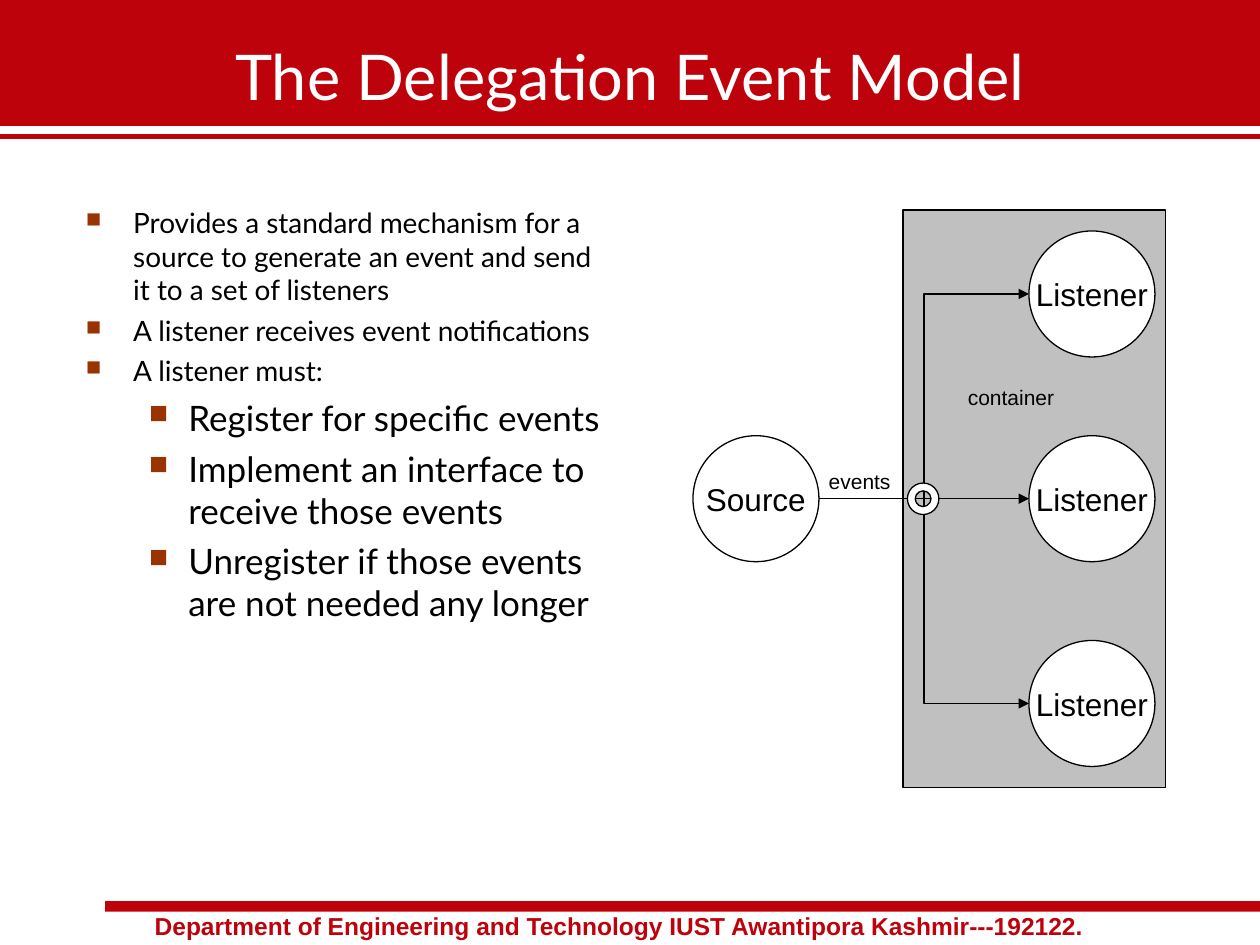
from dataclasses import dataclass

from lxml.etree import SubElement
from pptx import Presentation
from pptx.dml.color import RGBColor
from pptx.enum.shapes import MSO_CONNECTOR as Connector, MSO_SHAPE as Shape
from pptx.enum.text import MSO_ANCHOR as Anchor, MSO_AUTO_SIZE as AutoSize, PP_ALIGN as Align
from pptx.oxml.ns import qn
from pptx.util import Pt


@dataclass(frozen=True)
class Theme:
    red: RGBColor = RGBColor(0xBE, 0x02, 0x0B)
    black: RGBColor = RGBColor(0, 0, 0)
    white: RGBColor = RGBColor(255, 255, 255)
    gray: RGBColor = RGBColor(0xC0, 0xC0, 0xC0)
    bullet: str = "993300"
    heading: str = "Lato"
    label: str = "Arial"
    title_size: int = 36
    node_size: int = 18
    label_size: int = 12
    footer_size: int = 14
    body_sizes: tuple = (16, 20)


theme = Theme()


def add_block(kind, left, top, width, height, fill, outlined=True):
    block = page.shapes.add_shape(kind, Pt(left), Pt(top), Pt(width), Pt(height))
    block.shadow.inherit = False
    block.fill.solid()
    block.fill.fore_color.rgb = fill
    if outlined:
        block.line.color.rgb = theme.black
        block.line.width = Pt(0.75)
    else:
        block.line.fill.background()
    return block


def write(para, text, name, size, color, bold=False):
    span = para.add_run()
    span.text = text
    span.font.color.rgb = color
    for key, value in {"name": name, "size": Pt(size), "bold": bold}.items():
        setattr(span.font, key, value)


deck = Presentation()
deck.slide_width, deck.slide_height = Pt(720), Pt(540)
page = deck.slides.add_slide(deck.slide_layouts[5])

title = page.shapes.title
for key, value in {"left": 0, "top": 0, "width": 720, "height": 72}.items():
    setattr(title, key, Pt(value))
title.fill.solid()
title.fill.fore_color.rgb = theme.red
frame = title.text_frame
for key, value in {"vertical_anchor": Anchor.MIDDLE, "margin_top": Pt(18),
                   "margin_bottom": Pt(3.6), "auto_size": AutoSize.NONE}.items():
    setattr(frame, key, value)
frame.paragraphs[0].alignment = Align.CENTER
write(frame.paragraphs[0], "The Delegation Event Model", theme.heading, theme.title_size, theme.white)

add_block(Shape.RECTANGLE, 60, 515, 660, 6, theme.red, outlined=False)
add_block(Shape.RECTANGLE, 516, 120, 150, 330, theme.gray)

bullets = [
    (0, "Provides a standard mechanism for a source to generate an event and send it to a set of listeners"),
    (0, "A listener receives event notifications"),
    (0, "A listener must:"),
    (1, "Register for specific events"),
    (1, "Implement an interface to receive those events"),
    (1, "Unregister if those events are not needed any longer"),
]
indents = [(27, -27), (58.5, -22.5)]
body = page.shapes.add_textbox(Pt(42), Pt(114), Pt(315), Pt(324)).text_frame
body.word_wrap = True
for index, (level, text) in enumerate(bullets):
    para = body.add_paragraph() if index else body.paragraphs[0]
    para.level = level
    para.space_before = Pt((4, 5)[level] if index else 0)
    props = para._p.get_or_add_pPr()
    for key, value in zip(("marL", "indent"), indents[level]):
        props.set(key, str(Pt(value)))
    color = SubElement(props, qn("a:buClr"))
    SubElement(color, qn("a:srgbClr"), val=theme.bullet)
    SubElement(props, qn("a:buSzPct"), val="75000")
    SubElement(props, qn("a:buChar"), char="■")
    write(para, text, theme.heading, theme.body_sizes[level], theme.black)

diameter = 72
source_left, listener_left, middle = 396, 588, 285
listener_rows = [middle + step * 117 for step in (-1, 0, 1)]
nodes = [("Source", source_left, middle)]
nodes += [("Listener", listener_left, row) for row in listener_rows]
for text, left, row in nodes:
    frame = add_block(Shape.OVAL, left, row - diameter / 2, diameter, diameter, theme.white).text_frame
    frame.word_wrap = False
    frame.vertical_anchor = Anchor.MIDDLE
    frame.paragraphs[0].alignment = Align.CENTER
    write(frame.paragraphs[0], text, theme.label, theme.node_size, theme.black)

source_right = source_left + diameter
links = [(Connector.STRAIGHT if row == middle else Connector.ELBOW,
          source_right, middle, listener_left, row, theme.black, 0.75, True)
         for row in listener_rows]
links.append((Connector.STRAIGHT, 0, 78, 720, 78, theme.red, 3, False))
for kind, x1, y1, x2, y2, color, weight, arrow in links:
    link = page.shapes.add_connector(kind, Pt(x1), Pt(y1), Pt(x2), Pt(y2))
    link.line.color.rgb = color
    link.line.width = Pt(weight)
    if arrow:
        SubElement(link.line._get_or_add_ln(), qn("a:tailEnd"), type="triangle")
    SubElement(link._element.spPr, qn("a:effectLst"))

add_block(Shape.DONUT, 518.5, middle - 9, 18, 18, theme.white)

footer = "Department of Engineering and Technology IUST Awantipora Kashmir---192122."
labels = [
    ("events", 466.5, 264, 52, 21.6, 7.2, theme.label_size, theme.black, False),
    ("container", 546, 216, 66, 21.6, 7.2, theme.label_size, theme.black, False),
    (footer, 54, 517, 654, 24.5, 34.4, theme.footer_size, theme.red, True),
]
for text, left, top, width, height, inset, size, color, bold in labels:
    frame = page.shapes.add_textbox(Pt(left), Pt(top), Pt(width), Pt(height)).text_frame
    frame.word_wrap = bold
    frame.margin_left = Pt(inset)
    write(frame.paragraphs[0], text, theme.label, size, color, bold)

deck.save("out.pptx")
